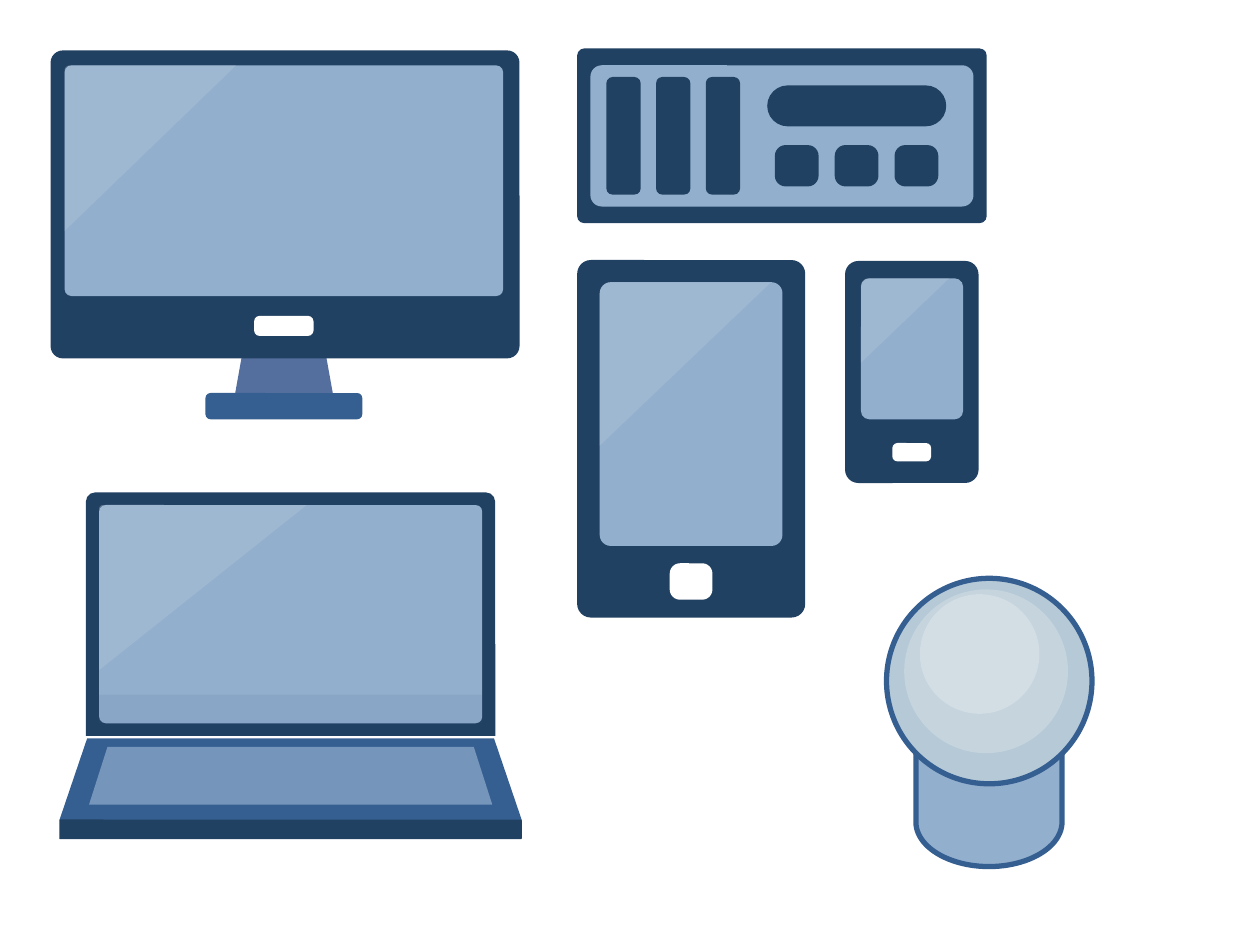
from math import cos, sin, pi
from lxml.etree import SubElement
from pptx import Presentation
from pptx.dml.color import RGBColor
from pptx.enum.shapes import MSO_SHAPE
from pptx.oxml.ns import qn
from pptx.util import Pt

NAVY, BLUE, SKY, MIST = "214162", "365F91", "93AFCE", "B6C9D7"
SLATE, PALE, WHITE = "546F9E", "D6E0E6", "FFFFFF"
ROUND, TRAP = MSO_SHAPE.ROUNDED_RECTANGLE, MSO_SHAPE.TRAPEZOID
LID = MSO_SHAPE.ROUND_2_SAME_RECTANGLE
CAN, OVAL = MSO_SHAPE.CAN, MSO_SHAPE.OVAL
GLARE = "glare"

MONITOR = [
    (TRAP, 134.3, 203, 56, 22.3, 0.18, SLATE),
    (ROUND, 28.9, 28.8, 268, 176, 0.04, NAVY),
    (ROUND, 36.9, 37.4, 250.6, 131.8, 0.03, SKY),
    (ROUND, 145.2, 180.5, 34, 11.5, 0.28, WHITE),
    (ROUND, 117.4, 224.6, 89.6, 15, 0.19, BLUE),
    (GLARE, 36.9, 37.4, 98, 94.6, 2.9, MIST, 35),
]
LAPTOP = [
    (LID, 49, 281.3, 234, 139.2, 0.04, NAVY),
    (ROUND, 56.7, 288.6, 218.9, 124.7, 0.03, SKY),
    (TRAP, 34, 421.9, 264.2, 46.7, 0.34, BLUE),
    (ROUND, 34, 468.3, 264.2, 11.2, 0.04, NAVY),
    (TRAP, 50.9, 426.8, 230.4, 32.9, 0.32, SKY, 68),
    (GLARE, 56.7, 288.6, 118.6, 94.3, 2.2, MIST, 35),
    (ROUND, 56.7, 397, 218.9, 16.3, 0.03, BLUE, 10),
]
TABLET = [
    (ROUND, 329.8, 148.6, 130.3, 204.3, 0.06, NAVY),
    (ROUND, 342.7, 161.3, 104.4, 150.7, 0.06, SKY),
    (ROUND, 382.7, 321.9, 24.4, 20.8, 0.28, WHITE),
    (GLARE, 342.7, 161.3, 97.9, 93.4, 6.5, MIST, 35),
]
PHONE = [
    (ROUND, 482.9, 149.1, 76.3, 126.9, 0.1, NAVY),
    (ROUND, 492, 159.1, 58.3, 80.5, 0.08, SKY),
    (ROUND, 509.9, 253.2, 22.2, 10.5, 0.28, WHITE),
    (GLARE, 492, 159.1, 50.4, 48.2, 4.3, MIST, 35),
]
SERVER = [
    (ROUND, 329.8, 27.7, 234, 99.8, 0.04, NAVY),
    (ROUND, 337.4, 37.3, 218.9, 80.7, 0.08, SKY),
    (ROUND, 438.4, 48.8, 102.3, 23.4, 0.5, NAVY),
]
SERVER += [(ROUND, 346.5 + 28.4 * i, 44, 19.6, 67.2, 0.18, NAVY) for i in range(3)]
SERVER += [(ROUND, 442.8 + 34.2 * i, 82.9, 25, 23.6, 0.26, NAVY) for i in range(3)]
LAMP = [
    (CAN, 523.4, 384.5, 83.5, 110.7, 0.61, SKY, 100, BLUE),
    (OVAL, 506.6, 330.5, 117.4, 117.4, None, MIST, 100, BLUE),
    (OVAL, 516.7, 336.8, 93.6, 93.6, None, PALE, 52),
    (OVAL, 525.6, 339.5, 68.4, 68.4, None, PALE, 77),
]
DEVICES = [MONITOR, LAPTOP, TABLET, PHONE, SERVER, LAMP]


def paint(shape, fill, alpha, line):
    shape.shadow.inherit = False
    shape.fill.solid()
    shape.fill.fore_color.rgb = RGBColor.from_string(fill)
    if alpha < 100:
        tone = shape.fill._xPr.find(qn("a:solidFill"))[0]
        SubElement(tone, qn("a:alpha")).set("val", str(alpha * 1000))
    if line:
        shape.line.color.rgb = RGBColor.from_string(line)
        shape.line.width = Pt(3)
    else:
        shape.line.fill.background()


def glare(shapes, x, y, w, h, r):
    turns = [pi / 2 * i / 8 for i in range(9)]
    arc = [(x + r - r * cos(t), y + r - r * sin(t)) for t in turns]
    dots = [(Pt(a), Pt(b)) for a, b in arc + [(x + w, y), (x, y + h)]]
    path = shapes.build_freeform(*dots[0])
    path.add_line_segments(dots[1:], close=True)
    return path.convert_to_shape()


def draw(shapes, kind, x, y, w, h, bend, fill, alpha=100, line=None):
    if kind == GLARE:
        shape = glare(shapes, x, y, w, h, bend)
    else:
        shape = shapes.add_shape(kind, Pt(x), Pt(y), Pt(w), Pt(h))
        if bend is not None:
            shape.adjustments[0] = bend
    paint(shape, fill, alpha, line)


def main():
    deck = Presentation()
    deck.slide_width, deck.slide_height = Pt(720), Pt(540)
    slide = deck.slides.add_slide(deck.slide_layouts[6])
    for parts in DEVICES:
        group = slide.shapes.add_group_shape()
        for part in parts:
            draw(group.shapes, *part)
    deck.save("out.pptx")


if __name__ == "__main__":
    main()
